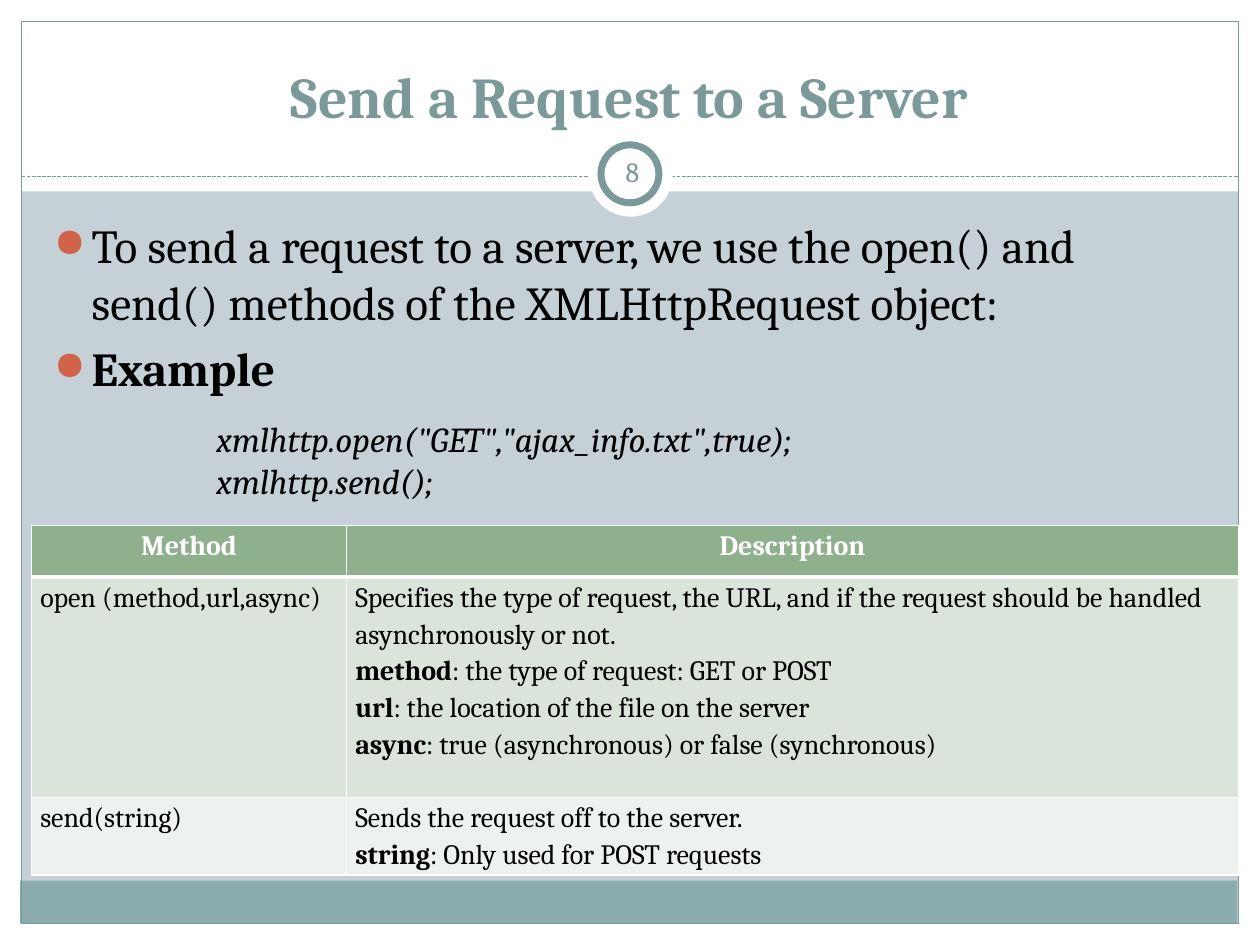
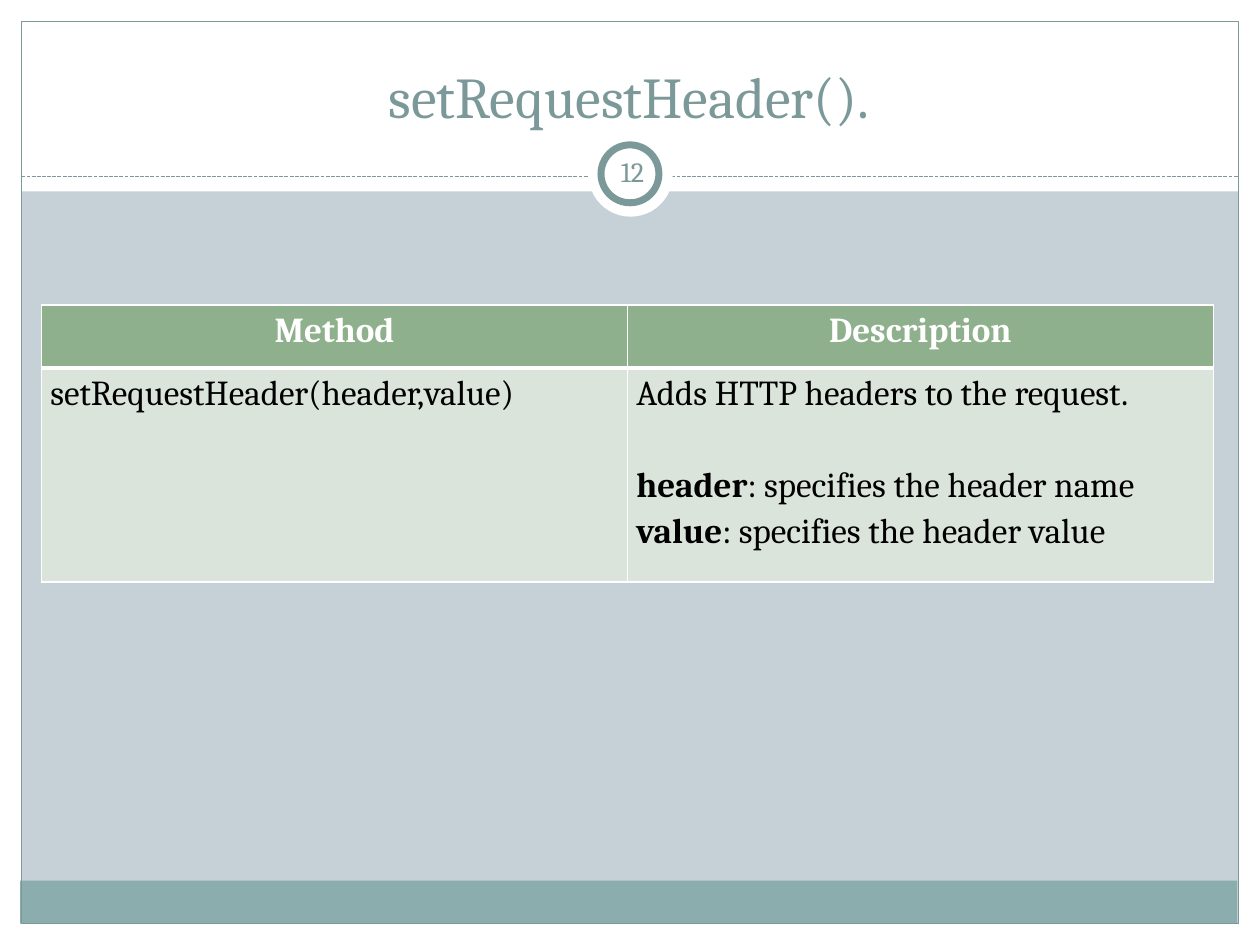
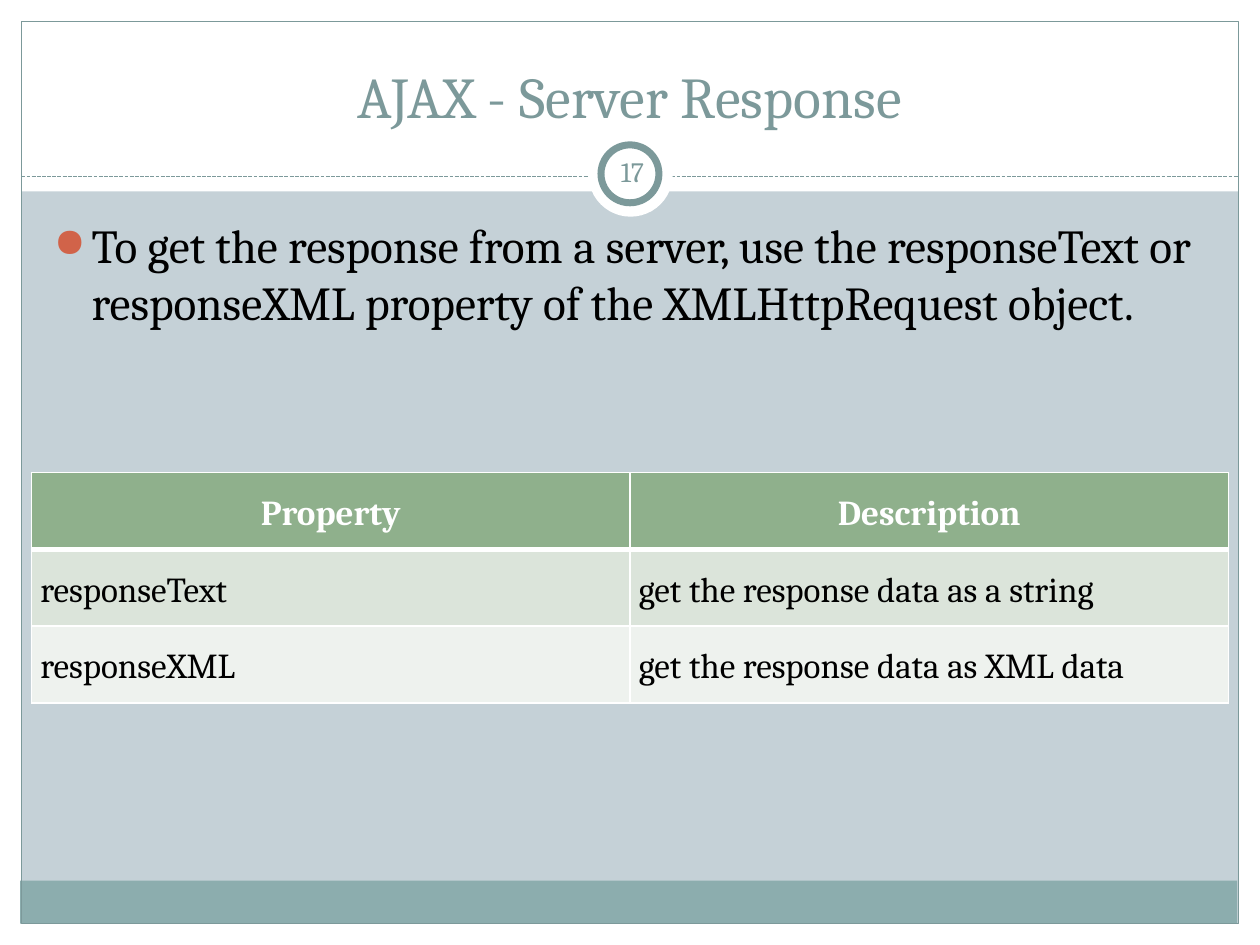
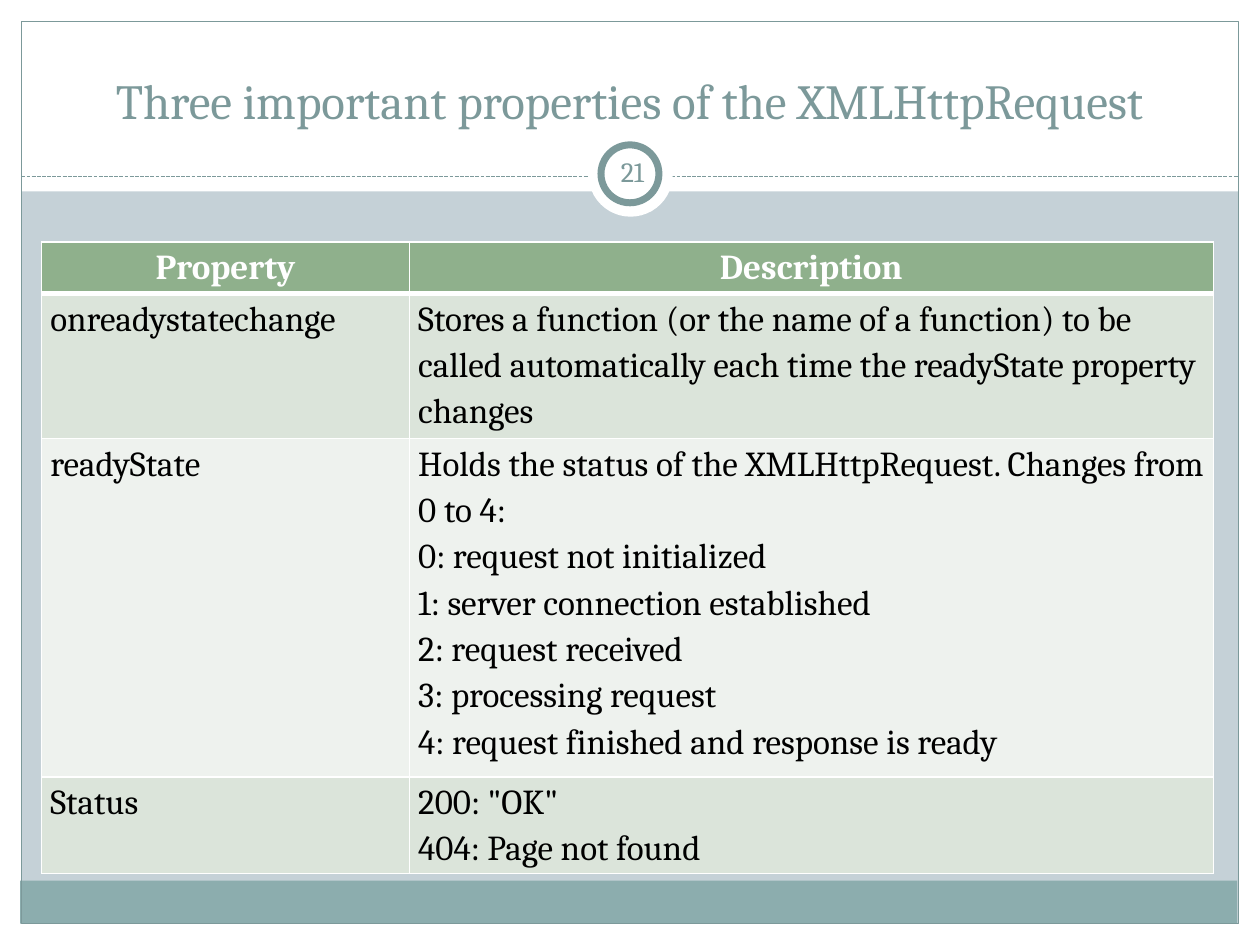
from lxml import etree
from pptx import Presentation
from pptx import util as u
from pptx.dml.color import RGBColor
from pptx.enum import dml, shapes, text
from pptx.oxml.ns import qn

Inches, Pt = u.Inches, u.Pt
FONT = "Cambria"
WHITE = RGBColor(0xFF, 0xFF, 0xFF)
BLACK = RGBColor(0, 0, 0)
BACKGROUND = RGBColor(0xC5, 0xD1, 0xD7)
SLATE = RGBColor(0x7C, 0x99, 0x9A)
TEAL = RGBColor(0x8C, 0xAD, 0xAE)
GREEN = RGBColor(0x8F, 0xB0, 0x8C)
BANDS = [RGBColor(0xEE, 0xF2, 0xEE), RGBColor(0xDB, 0xE4, 0xDA)]
BULLET = RGBColor(0xD1, 0x63, 0x49)

# Content: cells mark bold with **, line breaks with \n, paragraphs with \n\n
SLIDES = [
    dict(
        title="Send a Request to a Server", bold=True, number="8",
        bullets=["To send a request to a server, we use the open() and send() methods "
                 "of the XMLHttpRequest object:", "**Example**"],
        code='xmlhttp.open("GET","ajax_info.txt",true);\nxmlhttp.send();',
        at=(0.25, 4.17), cols=[2.5, 7.08], heights=[0.41, 1.75, 0.59], size=16,
        rows=[
            ("Method", "Description"),
            ("open (method,url,async)",
             "Specifies the type of request, the URL, and if the request should be "
             "handled asynchronously or not.\n"
             "**method**: the type of request: GET or POST\n"
             "**url**: the location of the file on the server\n"
             "**async**: true (asynchronous) or false (synchronous)"),
            ("send(string)",
             "Sends the request off to the server.\n"
             "**string**: Only used for POST requests"),
        ]),
    dict(
        title="setRequestHeader().", number="12",
        at=(0.33, 2.42), cols=[4.65, 4.65], heights=[0.5, 1.7], size=20,
        rows=[
            ("Method", "Description"),
            ("setRequestHeader(header,value)",
             "Adds HTTP headers to the request.\n\n"
             "**header**: specifies the header name\n"
             "**value**: specifies the header value"),
        ]),
    dict(
        title="AJAX - Server Response", number="17",
        bullets=["To get the response from a server, use the responseText or "
                 "responseXML property of the XMLHttpRequest object."],
        at=(0.25, 3.75), cols=[4.75, 4.75], heights=[0.61] * 3, size=20,
        anchor=text.MSO_ANCHOR.MIDDLE,
        rows=[
            ("Property", "Description"),
            ("responseText", "get the response data as a string"),
            ("responseXML", "get the response data as XML data"),
        ]),
    dict(
        title="Three important properties of the XMLHttpRequest", title_size=28,
        number="21",
        at=(0.33, 1.92), cols=[2.92, 6.38], heights=[0.41, 1.1, 2.57, 0.74], size=20,
        rows=[
            ("Property", "Description"),
            ("onreadystatechange",
             "Stores a function (or the name of a function) to be called "
             "automatically each time the readyState property changes"),
            ("readyState",
             "Holds the status of the XMLHttpRequest. Changes from 0 to 4:\n"
             "0: request not initialized\n"
             "1: server connection established\n"
             "2: request received\n"
             "3: processing request\n"
             "4: request finished and response is ready"),
            ("Status", '200: "OK"\n404: Page not found'),
        ]),
]


def write(p, marked, size, color, bold=False):
    """Fill a paragraph; text between ** is bold."""
    p.font.name, p.font.size, p.font.bold = FONT, Pt(size), bold
    p.font.color.rgb = color
    for i, line in enumerate(marked.split("\n")):
        if i:
            p.add_line_break()
        for j, part in enumerate(line.split("**")):
            if part:
                r = p.add_run()
                r.text = part
                r.font.name, r.font.size = FONT, Pt(size)
                r.font.bold = bold or j % 2 == 1
                r.font.color.rgb = color


def set_borders(cell, top, bottom):
    """White cell borders; they come before the fill in the cell properties."""
    tcPr = cell._tc.get_or_add_tcPr()
    for i, (side, width) in enumerate(
            [("lnL", 1), ("lnR", 1), ("lnT", top), ("lnB", bottom)]):
        ln = etree.Element(qn("a:" + side), w=str(Pt(width)))
        fill = etree.SubElement(ln, qn("a:solidFill"))
        etree.SubElement(fill, qn("a:srgbClr"), val=str(WHITE))
        tcPr.insert(i, ln)


prs = Presentation()
prs.slide_width, prs.slide_height = Inches(10), Inches(7.5)
layout = prs.slide_layouts[5]

# Layout: background, and only the title placeholder
layout.background.fill.solid()
layout.background.fill.fore_color.rgb = BACKGROUND
for ph in list(layout.placeholders):
    if ph.placeholder_format.type != shapes.PP_PLACEHOLDER.TITLE:
        ph._element.getparent().remove(ph._element)

pages = [prs.slides.add_slide(layout) for _ in SLIDES]

# Frame: drawn once, then moved into the layout
RECT, OVAL = shapes.MSO_SHAPE.RECTANGLE, shapes.MSO_SHAPE.OVAL
frame = []
for kind, box, fill, line in [
    (RECT, (0, 7.33, 10, 0.17), WHITE, None),
    (RECT, (0, 0, 10, 1.52), WHITE, None),
    (RECT, (0, 0, 0.17, 7.5), WHITE, None),
    (RECT, (9.83, 0, 0.17, 7.5), WHITE, None),
    (RECT, (0.16, 6.99, 9.66, 0.34), TEAL, None),
    (RECT, (0.17, 0.17, 9.66, 7.16), None, 0.75),
    (None, (0.17, 1.4, 9.83, 1.4), None, 0.75),
    (OVAL, (4.67, 1.05, 0.67, 0.67), WHITE, None),
    (OVAL, (4.77, 1.15, 0.46, 0.46), WHITE, 4),
]:
    box = [Inches(v) for v in box]
    if kind is None:
        sp = pages[0].shapes.add_connector(shapes.MSO_CONNECTOR.STRAIGHT, *box)
        sp.line.dash_style = dml.MSO_LINE.SQUARE_DOT
        etree.SubElement(sp._element.spPr, qn("a:effectLst"))
    else:
        sp = pages[0].shapes.add_shape(kind, *box)
        sp.shadow.inherit = False
        if fill is None:
            sp.fill.background()
        else:
            sp.fill.solid()
            sp.fill.fore_color.rgb = fill
    if line is None:
        sp.line.fill.background()
    else:
        sp.line.color.rgb, sp.line.width = SLATE, Pt(line)
    frame.append(sp._element)
for i, el in enumerate(frame):
    layout.shapes._spTree.insert(2 + i, el)

for s, c in zip(pages, SLIDES):
    # Title
    sp = s.shapes.title
    sp.left, sp.top, sp.width, sp.height = [Inches(v) for v in (0.33, 0.25, 9.33, 0.83)]
    tf = sp.text_frame
    tf.auto_size, tf.vertical_anchor = text.MSO_AUTO_SIZE.NONE, text.MSO_ANCHOR.BOTTOM
    p = tf.paragraphs[0]
    p.alignment = text.PP_ALIGN.CENTER
    write(p, c["title"], c.get("title_size", 33), SLATE, c.get("bold", False))

    # Slide number
    tf = s.shapes.add_textbox(Inches(4.77), Inches(1.12), Inches(0.5), Inches(0.48)).text_frame
    tf.word_wrap, tf.vertical_anchor = True, text.MSO_ANCHOR.MIDDLE
    tf.margin_left = tf.margin_right = tf.margin_top = tf.margin_bottom = Inches(0.05)
    p = tf.paragraphs[0]
    p.alignment = text.PP_ALIGN.CENTER
    write(p, c["number"], 16, SLATE)

    # Bullets and code
    if "bullets" in c:
        tf = s.shapes.add_textbox(Inches(0.33), Inches(1.67), Inches(9.3), Inches(5)).text_frame
        tf.word_wrap = True
        for i, bullet in enumerate(c["bullets"]):
            p = tf.add_paragraph() if i else tf.paragraphs[0]
            p.space_before = Pt(5.4)
            write(p, bullet, 27, BLACK)
            pPr = p._p.get_or_add_pPr()
            pPr.set("marL", str(Inches(0.3)))
            pPr.set("indent", str(Inches(-0.3)))
            marks = [etree.Element(qn("a:buClr")),
                     etree.Element(qn("a:buSzPct"), val="85000"),
                     etree.Element(qn("a:buChar"), char="●")]
            etree.SubElement(marks[0], qn("a:srgbClr"), val=str(BULLET))
            for mark in marks:
                pPr.find(qn("a:defRPr")).addprevious(mark)
        if "code" in c:
            p = tf.add_paragraph()
            p.space_before = Pt(12)
            write(p, c["code"], 20, BLACK)
            p._p.get_or_add_pPr().set("marL", str(Inches(1.29)))
            for r in p.runs:
                r.font.italic = True

    # Table
    rows, cols, heights = c["rows"], c["cols"], c["heights"]
    table = s.shapes.add_table(len(rows), len(cols), *[Inches(v) for v in c["at"]],
                               Inches(sum(cols)), Inches(sum(heights))).table
    table.horz_banding = False
    for column, width in zip(table.columns, cols):
        column.width = Inches(width)
    for i, row in enumerate(rows):
        table.rows[i].height = Inches(heights[i])
        header = i == 0
        for j, value in enumerate(row):
            cell = table.cell(i, j)
            cell.margin_left = cell.margin_right = Inches(0.07)
            cell.margin_top = cell.margin_bottom = 0
            cell.vertical_anchor = c.get("anchor", text.MSO_ANCHOR.TOP)
            cell.fill.solid()
            cell.fill.fore_color.rgb = GREEN if header else BANDS[i % 2]
            set_borders(cell, 3 if i == 1 else 1, 3 if header else 1)
            tf = cell.text_frame
            for k, paragraph in enumerate(value.split("\n\n")):
                p = tf.add_paragraph() if k else tf.paragraphs[0]
                p.line_spacing = 1.15
                if k:
                    p.space_before = Pt(26)
                p.alignment = text.PP_ALIGN.CENTER if header else text.PP_ALIGN.LEFT
                write(p, paragraph, c["size"], WHITE if header else BLACK, header)

prs.save("out.pptx")
